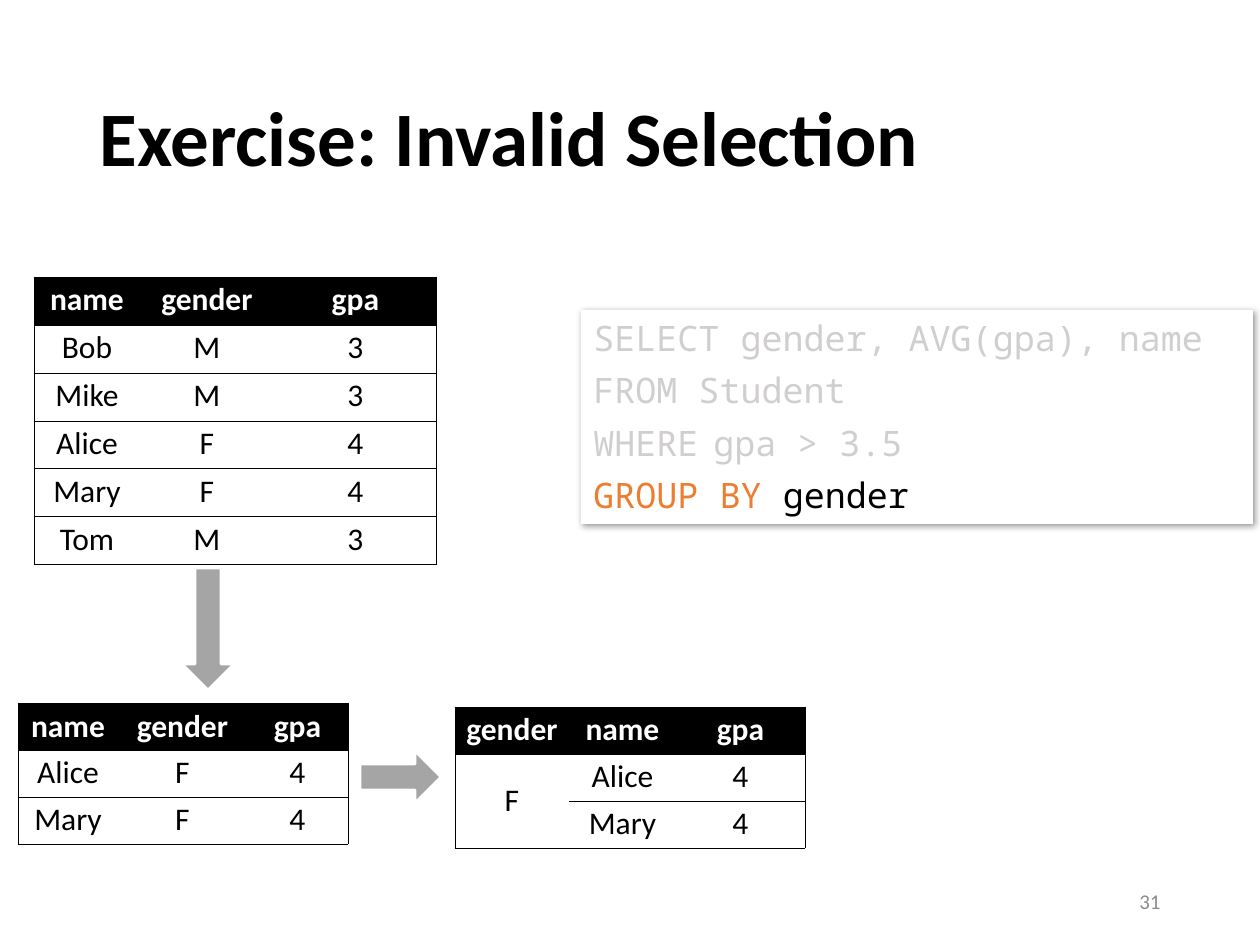
from lxml import etree
from pptx import Presentation
from pptx.dml.color import RGBColor
from pptx.enum.shapes import MSO_SHAPE
from pptx.enum.text import MSO_ANCHOR, PP_ALIGN
from pptx.oxml import parse_xml
from pptx.oxml.ns import qn
from pptx.util import Emu, Pt

BLACK = RGBColor(0x00, 0x00, 0x00)
WHITE = RGBColor(0xFF, 0xFF, 0xFF)
ARROW_GRAY = RGBColor(0xA5, 0xA5, 0xA5)
DIMMED = RGBColor(0xD0, 0xCE, 0xCE)
ORANGE = RGBColor(0xED, 0x7D, 0x31)
NUMBER_GRAY = RGBColor(0x8C, 0x8C, 0x8C)
LEFT, CENTER, RIGHT = PP_ALIGN.LEFT, PP_ALIGN.CENTER, PP_ALIGN.RIGHT
TOP, MIDDLE = MSO_ANCHOR.TOP, MSO_ANCHOR.MIDDLE
RECTANGLE, RIGHT_ARROW = MSO_SHAPE.RECTANGLE, MSO_SHAPE.RIGHT_ARROW
DRAWING_NS = "http://schemas.openxmlformats.org/drawingml/2006/main"
SCALE = 914400 / 126  # EMU per px


def px(*lengths):
    return [Emu(round(length * SCALE)) for length in lengths]


def set_borders(cell, visible_sides):
    properties = cell._tc.get_or_add_tcPr()
    for side in "LRTB":
        line = etree.SubElement(properties, qn(f"a:ln{side}"), w=str(Pt(0.5)))
        if side in visible_sides:
            fill = etree.SubElement(line, qn("a:solidFill"))
            etree.SubElement(fill, qn("a:srgbClr"), val=str(BLACK))
        else:
            etree.SubElement(line, qn("a:noFill"))


deck = Presentation()
deck.slide_width, deck.slide_height = px(1260, 945)
page = deck.slides.add_slide(deck.slide_layouts[5])

# Title
title = page.shapes.title
title.left, title.top, title.width, title.height = px(87, 50, 1086, 183)
title.text_frame.text = "Exercise: Invalid Selection"
title.text_frame.vertical_anchor = MIDDLE
para = title.text_frame.paragraphs[0]
para.alignment = LEFT
para.line_spacing = 0.9
para.font.name, para.font.size, para.font.bold = "Calibri", Pt(44), True
para.font.color.rgb = BLACK

# Slide number
number = page.shapes.add_textbox(*px(890, 876, 283, 50))
number.text_frame.word_wrap = True
number.text_frame.text = "31"
number.text_frame.vertical_anchor = MIDDLE
para = number.text_frame.paragraphs[0]
para.alignment = RIGHT
para.font.name, para.font.size = "Calibri", Pt(12)
para.font.color.rgb = NUMBER_GRAY

# Tables: all students, filtered students, grouped students
# (left, top, row height, column widths, rows); None continues the cell above
TABLES = [
    (34, 277, 48, [106, 134, 163],
     [["name", "gender", "gpa"], ["Bob", "M", "3"], ["Mike", "M", "3"],
      ["Alice", "F", "4"], ["Mary", "F", "4"], ["Tom", "M", "3"]]),
    (18, 703, 47, [100, 129, 101],
     [["name", "gender", "gpa"], ["Alice", "F", "4"], ["Mary", "F", "4"]]),
    (455, 707, 47, [114, 107, 129],
     [["gender", "name", "gpa"], ["F", "Alice", "4"], [None, "Mary", "4"]]),
]
for left, top, row_height, widths, rows in TABLES:
    frame = page.shapes.add_table(
        len(rows), len(widths),
        *px(left, top, sum(widths), row_height * len(rows)))
    table = frame.table
    for column, width in zip(table.columns, px(*widths)):
        column.width = width
    for r, values in enumerate(rows):
        for c, value in enumerate(values):
            cell = table.cell(r, c)
            sides = "TB" + ("L" if c == 0 else "")
            sides += "R" if c == len(widths) - 1 else ""
            set_borders(cell, sides)
            if value is None:
                above = table.cell(r - 1, c)
                above.merge(cell)
                above.vertical_anchor = MIDDLE
                continue
            if r == 0:
                cell.fill.solid()
                cell.fill.fore_color.rgb = BLACK
            else:
                cell.fill.background()
            cell.margin_left, cell.margin_right = px(9, 9)
            cell.margin_top, cell.margin_bottom = px(4, 4)
            cell.text = value
            para = cell.text_frame.paragraphs[0]
            para.alignment = CENTER
            para.font.name, para.font.size = "Calibri", Pt(18)
            para.font.bold = r == 0
            para.font.color.rgb = WHITE if r == 0 else BLACK

# Query card with a soft shadow
card = page.shapes.add_shape(RECTANGLE, *px(581, 310, 672, 214))
card.fill.solid()
card.fill.fore_color.rgb = WHITE
card.line.fill.background()
card._element.spPr.append(parse_xml(
    f'<a:effectLst xmlns:a="{DRAWING_NS}">'
    '<a:outerShdw blurRad="50800" dist="12700" dir="2700000" algn="tl" rotWithShape="0">'
    '<a:srgbClr val="000000"><a:alpha val="40000"/></a:srgbClr>'
    '</a:outerShdw></a:effectLst>'))
card.text_frame.word_wrap = True
card.text_frame.vertical_anchor = TOP
QUERY = [
    [("SELECT gender, AVG(gpa), name", 20, DIMMED)],
    [("FROM Student", 20, DIMMED)],
    [("WHERE", 20, DIMMED), (" ", 14, DIMMED), ("gpa > 3.5", 20, DIMMED)],
    [("GROUP BY ", 20, ORANGE), ("gender", 20, BLACK)],
]
for i, spans in enumerate(QUERY):
    para = card.text_frame.add_paragraph() if i else card.text_frame.paragraphs[0]
    para.alignment = LEFT
    if i:
        para.space_before = Pt(6)
    para.font.name = "Noto Sans Mono"
    for text, size, color in spans:
        span = para.add_run()
        span.text = text
        span.font.size = Pt(size)
        span.font.color.rgb = color

# Arrows between the tables
for bounds, rotation in [((147, 603, 122, 52), 90), ((360, 751, 81, 52), 0)]:
    arrow = page.shapes.add_shape(RIGHT_ARROW, *px(*bounds))
    arrow.rotation = rotation
    arrow.shadow.inherit = False
    arrow.fill.solid()
    arrow.fill.fore_color.rgb = ARROW_GRAY
    arrow.line.color.rgb = WHITE
    arrow.line.width = Pt(1.5)

deck.save("out.pptx")
